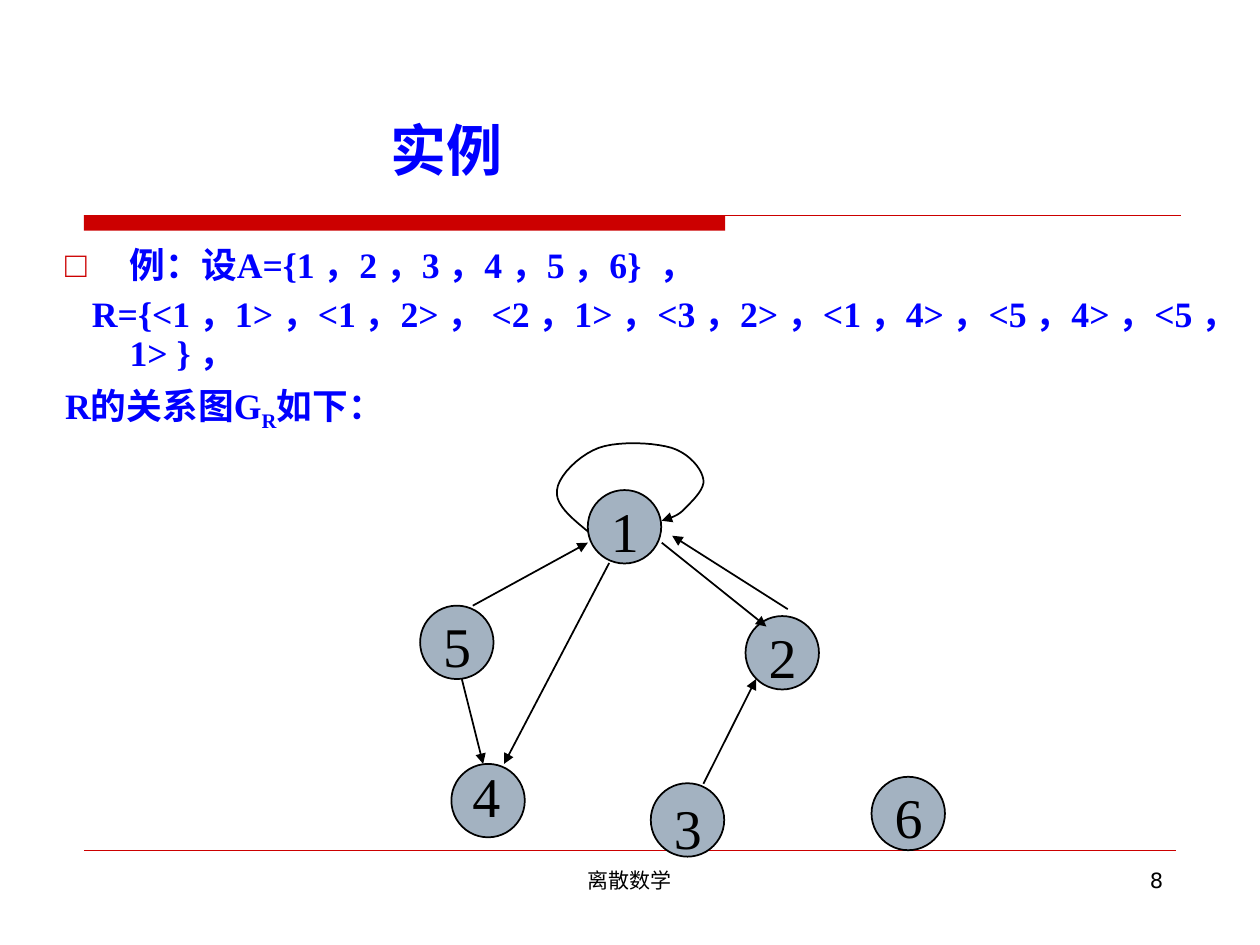
from lxml.etree import SubElement
from pptx import Presentation
from pptx.dml.color import RGBColor
from pptx.enum.shapes import MSO_CONNECTOR, MSO_SHAPE
from pptx.enum.text import MSO_ANCHOR, MSO_AUTO_SIZE, PP_ALIGN
from pptx.oxml.ns import qn
from pptx.util import Cm, Pt

BLUE = RGBColor(0x00, 0x00, 0xFF)
RED = RGBColor(0xCC, 0x00, 0x00)
BLACK = RGBColor(0x00, 0x00, 0x00)
GREY = RGBColor(0xA3, 0xB2, 0xC1)
SANS, SERIF = "DejaVu Sans", "Times New Roman"

NODE_SIZE = 1.48
# Node label: circle left and top, then label offset from the circle
NODES = {
    "1": (11.85, 9.88, 0.21, 0),
    "2": (15.03, 12.42, 0.21, 0),
    "3": (13.12, 15.79, 0.21, 0.08),
    "4": (9.1, 15.4, 0.17, -0.17),
    "5": (8.47, 12.21, 0.21, 0),
    "6": (17.57, 15.66, 0.21, 0),
}
EDGES = [
    (9.31, 13.69, 9.74, 15.4),     # 5 to 4
    (9.53, 12.21, 11.85, 10.94),   # 5 to 1
    (13.34, 10.94, 15.45, 12.63),  # 1 to 2
    (14.18, 15.8, 15.24, 13.69),   # 3 to 2
    (12.28, 11.35, 10.16, 15.4),   # 1 to 4
    (15.88, 12.28, 13.55, 10.8),   # 2 to 1
]
# Loop at node 1: start point, then two control points and an end per curve
LOOP_START = (11.86, 10.72)
LOOP_CURVES = [
    ((11.51, 10.44), (11.18, 10.16), (11.23, 9.88)),
    ((11.25, 9.6), (11.68, 9.17), (12.07, 9.03)),
    ((12.45, 8.89), (13.18, 8.92), (13.54, 9.03)),
    ((13.89, 9.14), (14.15, 9.45), (14.18, 9.67)),
    ((14.22, 9.88), (13.89, 10.16), (13.76, 10.3)),
    ((13.61, 10.44), (13.41, 10.46), (13.34, 10.5)),
]
CURVE_STEPS = 10


def place(shape, left, top, width, height):
    shape.left, shape.top = Cm(left), Cm(top)
    shape.width, shape.height = Cm(width), Cm(height)


def format_runs(paragraph, size, font_name, color, bold=False):
    for run in paragraph.runs:
        run.font.size, run.font.name, run.font.bold = Pt(size), font_name, bold
        run.font.color.rgb = color


def add_label(slide, text, box, size, font_name, align):
    shape = slide.shapes.add_textbox(*map(Cm, box))
    shape.text_frame.word_wrap = True
    paragraph = shape.text_frame.paragraphs[0]
    paragraph.text, paragraph.alignment = text, align
    format_runs(paragraph, size, font_name, BLACK)


def add_arrowhead(shape):
    SubElement(shape.line._get_or_add_ln(), qn("a:tailEnd"), type="triangle")


def add_line(slide, ends, color, width, arrow=False):
    line = slide.shapes.add_connector(MSO_CONNECTOR.STRAIGHT, *map(Cm, ends))
    line.line.color.rgb, line.line.width = color, Pt(width)
    if arrow:
        add_arrowhead(line)
    SubElement(line._element.spPr, qn("a:effectLst"))


def add_solid(slide, kind, box, fill):
    shape = slide.shapes.add_shape(kind, *map(Cm, box))
    shape.shadow.inherit = False
    shape.fill.solid()
    shape.fill.fore_color.rgb = fill
    shape.line.fill.background()
    return shape


def add_node(slide, label, left, top, shift_x, shift_y):
    box = (left, top, NODE_SIZE, NODE_SIZE)
    circle = add_solid(slide, MSO_SHAPE.OVAL, box, GREY)
    circle.line.color.rgb, circle.line.width = BLACK, Pt(1)
    label_box = (left + shift_x, top + shift_y, 1.07, 1.63)
    add_label(slide, label, label_box, 32, SERIF, PP_ALIGN.CENTER)


def curve_point(points, t):
    weights = ((1 - t) ** 3, 3 * t * (1 - t) ** 2, 3 * t ** 2 * (1 - t), t ** 3)
    return tuple(Cm(sum(w * p[axis] for w, p in zip(weights, points)))
                 for axis in (0, 1))


def add_loop(slide):
    vertices, start = [], LOOP_START
    for curve in LOOP_CURVES:
        vertices += [curve_point((start, *curve), step / CURVE_STEPS)
                     for step in range(1, CURVE_STEPS + 1)]
        start = curve[-1]
    builder = slide.shapes.build_freeform(*map(Cm, LOOP_START))
    builder.add_line_segments(vertices, close=False)
    loop = builder.convert_to_shape()
    loop.shadow.inherit = False
    loop.fill.background()
    loop.line.color.rgb, loop.line.width = BLACK, Pt(1)
    add_arrowhead(loop)


def fill_title(title):
    place(title, -0.85, 1.69, 19.69, 2.12)
    title.text_frame.text = "实例"
    title.text_frame.vertical_anchor = MSO_ANCHOR.BOTTOM
    paragraph = title.text_frame.paragraphs[0]
    paragraph.alignment = PP_ALIGN.CENTER
    format_runs(paragraph, 32, SANS, BLUE, bold=True)


def set_bullet(paragraph, hanging, bullet):
    properties = paragraph._p.get_or_add_pPr()
    properties.set("marL", str(Cm(1.3)))
    properties.set("indent", str(-Cm(hanging)))
    if bullet:
        color = SubElement(properties, qn("a:buClr"))
        SubElement(color, qn("a:srgbClr"), val=str(RED))
        SubElement(properties, qn("a:buChar"), char=bullet)
    else:
        SubElement(properties, qn("a:buNone"))


def fill_body(body):
    place(body, 1.06, 4.87, 24.34, 4.45)
    frame = body.text_frame
    frame.auto_size = MSO_AUTO_SIZE.NONE
    # Runs of each paragraph, hanging indent, bullet
    lines = [
        (["例：设A={1 ，2 ，3 ，4 ，5 ，6}  ，"], 1.3, "□"),
        (["R={<1 ，1> ，<1 ，2> ， <2 ，1> ，<3 ，2> ，<1 ，4> ，"
          "<5 ，4> ，<5 ，1> } ，"], 0.76, None),
        (["R的关系图G", "R", "如下："], 1.3, None),
    ]
    for index, (texts, hanging, bullet) in enumerate(lines):
        paragraph = frame.add_paragraph() if index else frame.paragraphs[0]
        for text in texts:
            paragraph.add_run().text = text
        paragraph.line_spacing, paragraph.space_before = 0.9, Pt(6)
        set_bullet(paragraph, hanging, bullet)
        format_runs(paragraph, 20.4, SERIF, BLUE, bold=True)
    subscript = frame.paragraphs[-1].runs[1]
    subscript.font._element.set("baseline", "-25000")


def main():
    presentation = Presentation()
    presentation.slide_width, presentation.slide_height = Cm(25.4), Cm(19.05)
    slide = presentation.slides.add_slide(presentation.slide_layouts[1])

    # Rules and footer
    add_solid(slide, MSO_SHAPE.RECTANGLE, (1.69, 4.34, 12.93, 0.31), RED)
    add_line(slide, (1.69, 4.34, 23.81, 4.34), RED, 0.75)
    add_line(slide, (1.69, 17.15, 23.71, 17.15), RED, 0.25)
    add_label(slide, "离散数学", (8.68, 17.36, 8.04, 1.32), 12, SANS, PP_ALIGN.CENTER)
    add_label(slide, "8", (18.2, 17.36, 5.5, 1.32), 12, SANS, PP_ALIGN.RIGHT)

    # Title and example text
    fill_title(slide.shapes.title)
    fill_body(slide.placeholders[1])

    # Relation graph
    for label, position in NODES.items():
        add_node(slide, label, *position)
    for ends in EDGES:
        add_line(slide, ends, BLACK, 1, arrow=True)
    add_loop(slide)

    presentation.save("out.pptx")


if __name__ == "__main__":
    main()
